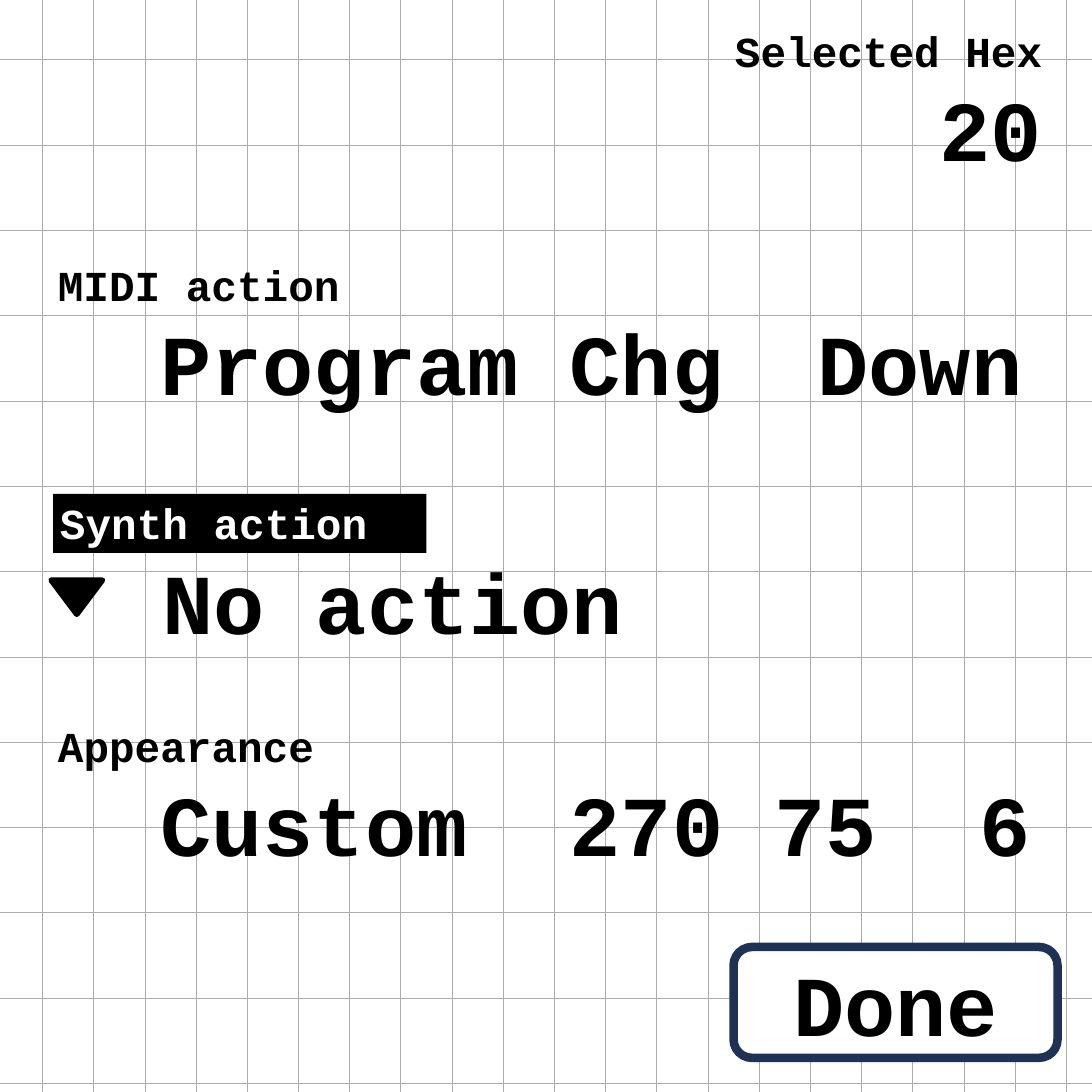
from lxml import etree
from pptx import Presentation
from pptx.dml.color import RGBColor
from pptx.enum.shapes import MSO_CONNECTOR, MSO_SHAPE
from pptx.enum.text import MSO_ANCHOR, PP_ALIGN
from pptx.oxml.ns import qn
from pptx.util import Inches, Pt

STRAIGHT = MSO_CONNECTOR.STRAIGHT
RECTANGLE, ROUNDED, TRIANGLE = MSO_SHAPE.RECTANGLE, MSO_SHAPE.ROUNDED_RECTANGLE, MSO_SHAPE.ISOSCELES_TRIANGLE
TOP, MIDDLE = MSO_ANCHOR.TOP, MSO_ANCHOR.MIDDLE
LEFT, CENTER, RIGHT = PP_ALIGN.LEFT, PP_ALIGN.CENTER, PP_ALIGN.RIGHT

SIDE = Inches(16)
COLUMN, ROW = Inches(0.75), Inches(1.25)
COLUMN_LINES, ROW_LINES = 21, 13
FIRST_COLUMN, FIRST_ROW = 0.83, 0.7
VALUE_COLUMNS = (2, 10, 14, 18)
FONT = "Courier New"
LABEL, VALUE = 45, 90
COLORS = {"grid": "AFABAB", "ink": "000000", "paper": "FFFFFF", "button": "1E3256"}


def color(name):
    """Return the named colour."""
    return RGBColor.from_string(COLORS[name])


def cells(left, top, width, height):
    """Turn a box counted in columns and rows into slide lengths."""
    return tuple(int(length) for length in (left * COLUMN, top * ROW, width * COLUMN, height * ROW))


def add_grid_line(slide, *ends):
    """Draw one thin line of the background grid."""
    line = slide.shapes.add_connector(STRAIGHT, *(int(end) for end in ends))
    line.line.color.rgb = color("grid")
    line.line.width = Pt(0.75)
    etree.SubElement(line._element.spPr, qn("a:effectLst"))


def add_grid(slide):
    """Draw the evenly spaced columns and rows."""
    for index in range(COLUMN_LINES):
        x = (FIRST_COLUMN + index) * COLUMN
        add_grid_line(slide, x, SIDE, x, 0)
    for index in range(ROW_LINES):
        y = (FIRST_ROW + index) * ROW
        add_grid_line(slide, 0, y, SIDE, y)


def set_value_stops(paragraph):
    """Align tabbed values to the character columns of the screen."""
    stops = etree.SubElement(paragraph._p.get_or_add_pPr(), qn("a:tabLst"))
    for column in VALUE_COLUMNS:
        etree.SubElement(stops, qn("a:tab"), pos=str(column * COLUMN), algn="l")


def write(shape, lines, align=LEFT, ink="ink", anchor=TOP):
    """Fill a shape with bold lines given as text and size."""
    frame = shape.text_frame
    frame.word_wrap = True
    frame.vertical_anchor = anchor
    for index, (text, size) in enumerate(lines):
        paragraph = frame.add_paragraph() if index else frame.paragraphs[0]
        paragraph.alignment = align
        if "\t" in text:
            set_value_stops(paragraph)
        run = paragraph.add_run()
        run.text = text
        run.font.name = FONT
        run.font.size = Pt(size)
        run.font.bold = True
        run.font.color.rgb = color(ink)


def add_text(slide, box, lines, align=LEFT):
    """Place a text box on the grid."""
    write(slide.shapes.add_textbox(*cells(*box)), lines, align)


def add_block(slide, kind, box, fill, outline=None, width=0):
    """Place a filled shape on the grid, with an optional outline."""
    shape = slide.shapes.add_shape(kind, *cells(*box))
    shape.shadow.inherit = False
    shape.fill.solid()
    shape.fill.fore_color.rgb = color(fill)
    if outline:
        shape.line.color.rgb = color(outline)
        shape.line.width = Pt(width)
    else:
        shape.line.fill.background()
    return shape


def main():
    """Build the settings screen."""
    presentation = Presentation()
    presentation.slide_width = presentation.slide_height = SIDE
    slide = presentation.slides.add_slide(presentation.slide_layouts[6])
    add_grid(slide)

    add_text(slide, (13.13, 0.25, 7.36, 1.9), [("Selected Hex", LABEL), ("20", VALUE)], RIGHT)
    add_text(slide, (1, 3.6, 14.33, 1.3), [("\tProgram Chg", VALUE)])
    add_text(slide, (1, 8.4, 20.5, 1.9), [("Appearance", LABEL), ("\tCustom\t270\t75\t6", VALUE)])

    done_button = add_block(slide, ROUNDED, (14.33, 11.1, 6.33, 1.3), "paper", "button", 9)
    write(done_button, [("Done", VALUE)], CENTER, anchor=MIDDLE)
    add_text(slide, (15.84, 3.6, 4.5, 1.3), [("Down", VALUE)])

    selection_marker = add_block(slide, TRIANGLE, (1, 6.8, 1, 0.4), "ink", "ink", 6)
    selection_marker.rotation = 180
    selected_label = add_block(slide, RECTANGLE, (1.04, 5.79, 7.29, 0.69), "ink")
    write(selected_label, [("Synth action", LABEL)], ink="paper")
    add_text(slide, (1.04, 6.4, 14.33, 1.3), [("\tNo action", VALUE)])
    add_text(slide, (1, 2.99, 5.83, 0.69), [("MIDI action", LABEL)])

    presentation.save("out.pptx")


if __name__ == "__main__":
    main()
